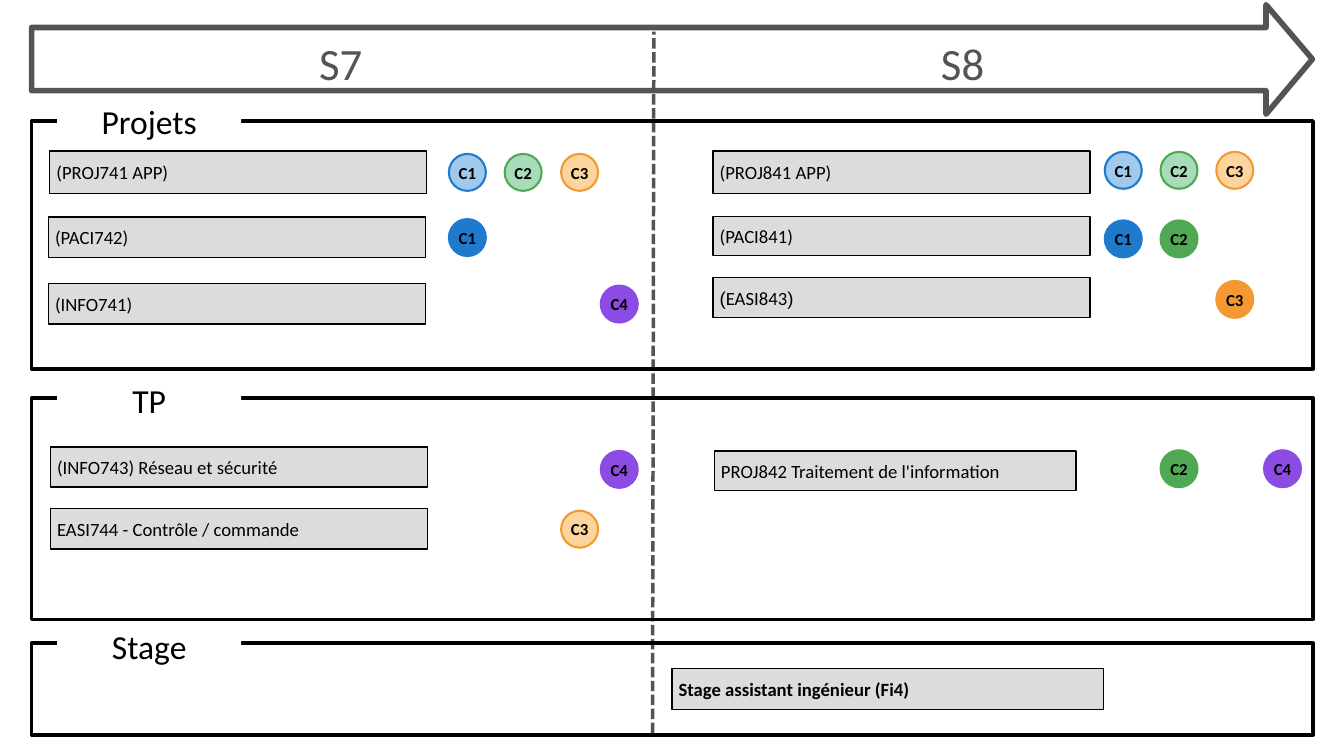
from typing import NamedTuple

from lxml.etree import SubElement
from pptx import Presentation
from pptx.dml.color import RGBColor
from pptx.enum.dml import MSO_LINE
from pptx.enum.shapes import MSO_CONNECTOR, MSO_SHAPE
from pptx.enum.text import MSO_ANCHOR, PP_ALIGN
from pptx.oxml.ns import qn
from pptx.util import Inches, Pt

BLACK = RGBColor(0x00, 0x00, 0x00)
INK = RGBColor(0x00, 0x00, 0x05)
WHITE = RGBColor(0xFF, 0xFF, 0xFF)
SLATE = RGBColor(0x54, 0x54, 0x54)
GREY = RGBColor(0xDD, 0xDC, 0xDC)
BLUE = RGBColor(0x1E, 0x7A, 0xCC)
PALE_BLUE = RGBColor(0xA0, 0xC9, 0xEB)
GREEN = RGBColor(0x4F, 0xA9, 0x54)
PALE_GREEN = RGBColor(0xA8, 0xDB, 0xBA)
ORANGE = RGBColor(0xF4, 0x98, 0x31)
PALE_ORANGE = RGBColor(0xFB, 0xD4, 0x9E)
PURPLE = RGBColor(0x8C, 0x4B, 0xE2)

BADGE_SIZE = 0.55
FRAME_LEFT, FRAME_WIDTH = 0.47, 19.07
S7_COLUMNS = {"C1": 6.68, "C2": 7.51, "C3": 8.35, "C4": 8.94}
S8_COLUMNS = {"C1": 16.44, "C2": 17.27, "C3": 18.1, "C4": 18.81}
STRONG = {"C1": BLUE, "C2": GREEN, "C3": ORANGE, "C4": PURPLE}
PALE = {"C1": PALE_BLUE, "C2": PALE_GREEN, "C3": PALE_ORANGE}


class Semester(NamedTuple):
    name: str
    left: float
    width: float


class Section(NamedTuple):
    title: str
    top: float
    height: float
    title_top: float
    anchor: MSO_ANCHOR


class Module(NamedTuple):
    name: str
    left: float
    top: float
    width: float = 5.61
    height: float = 0.6
    ink: RGBColor = INK
    bold: bool = False
    bracket_font: str = "Calibri"


class SkillRow(NamedTuple):
    skills: str
    columns: dict
    top: float
    fills: dict = STRONG


SEMESTERS = [Semester("S7", 0.5, 9.14), Semester("S8", 9.81, 9.03)]
SECTIONS = [
    Section("Projets", 1.8, 3.69, 1.5, MSO_ANCHOR.MIDDLE),
    Section("TP", 5.92, 3.3, 5.6, MSO_ANCHOR.TOP),
    Section("Stage", 9.57, 1.37, 9.26, MSO_ANCHOR.TOP),
]
MODULES = [
    Module("(PROJ741 APP)", 0.74, 2.25, height=0.63),
    Module("(PACI742)", 0.72, 3.23),
    Module("(INFO741)", 0.72, 4.22),
    Module("(PROJ841 APP)", 10.61, 2.25, height=0.63),
    Module("(PACI841)", 10.61, 3.22, height=0.58),
    Module("(EASI843)", 10.61, 4.13, bracket_font="Arial"),
    Module("(INFO743) Réseau et sécurité", 0.75, 6.65),
    Module("EASI744 - Contrôle / commande", 0.75, 7.57),
    Module("PROJ842 Traitement de l'information", 10.63, 6.71, 5.38, 0.59),
    Module("Stage assistant ingénieur (Fi4)", 10, 9.95, 6.42, 0.61, BLACK, True),
]
SKILL_ROWS = [
    SkillRow("C1 C2 C3", S7_COLUMNS, 2.29, PALE),
    SkillRow("C1", S7_COLUMNS, 3.26),
    SkillRow("C4", S7_COLUMNS, 4.25),
    SkillRow("C1 C2 C3", S8_COLUMNS, 2.26, PALE),
    SkillRow("C1 C2", S8_COLUMNS, 3.28),
    SkillRow("C3", S8_COLUMNS, 4.18),
    SkillRow("C4", S7_COLUMNS, 6.71),
    SkillRow("C3", S7_COLUMNS, 7.6, PALE),
    SkillRow("C2 C4", S8_COLUMNS, 6.7),
]


def write(shape, *pieces: str, size: float, color: RGBColor = BLACK,
          bold: bool = False, align=PP_ALIGN.CENTER, anchor=MSO_ANCHOR.MIDDLE,
          inset: bool = True, fonts: tuple = ("Calibri",), spacing=None) -> None:
    frame = shape.text_frame
    frame.word_wrap = True
    frame.vertical_anchor = anchor
    if not inset:
        frame.margin_left = frame.margin_right = 0
        frame.margin_top = frame.margin_bottom = 0
    paragraph = frame.paragraphs[0]
    paragraph.alignment = align
    if spacing:
        paragraph.line_spacing = Pt(spacing)
    for index, piece in enumerate(pieces):
        run = paragraph.add_run()
        run.text = piece
        run.font.name = fonts[index % len(fonts)]
        run.font.size = Pt(size)
        run.font.bold = bold
        run.font.color.rgb = color


def style(shape, fill=None, line=None, weight: float = 0) -> None:
    shape.shadow.inherit = False
    if fill is None:
        shape.fill.background()
    else:
        shape.fill.solid()
        shape.fill.fore_color.rgb = fill
    if line is None:
        shape.line.fill.background()
    else:
        shape.line.color.rgb = line
        shape.line.width = Pt(weight)


def add_box(slide, left: float, top: float, width: float, height: float,
            kind=MSO_SHAPE.RECTANGLE, **look):
    box = slide.shapes.add_shape(
        kind, Inches(left), Inches(top), Inches(width), Inches(height))
    style(box, **look)
    return box


def draw_timeline(slide) -> None:
    points = [(19.53, 0.88), (18.84, 0.07), (18.84, 0.41), (0.47, 0.41),
              (0.47, 1.35), (18.84, 1.35), (18.84, 1.7)]
    corners = [(Inches(x), Inches(y)) for x, y in points]
    builder = slide.shapes.build_freeform(*corners[0])
    builder.add_line_segments(corners[1:], close=True)
    style(builder.convert_to_shape(), line=SLATE, weight=6)

    divider = slide.shapes.add_connector(
        MSO_CONNECTOR.STRAIGHT, Inches(9.71), Inches(10.91), Inches(9.73), Inches(0.47))
    divider.line.color.rgb = SLATE
    divider.line.width = Pt(3.75)
    divider.line.dash_style = MSO_LINE.SQUARE_DOT
    SubElement(divider._element.spPr, qn("a:effectLst"))

    for semester in SEMESTERS:
        heading = slide.shapes.add_textbox(
            Inches(semester.left), Inches(0.46), Inches(semester.width), Inches(0.83))
        write(heading, semester.name, size=48, color=SLATE, inset=False,
              anchor=MSO_ANCHOR.TOP, spacing=62.4)


def draw_section(slide, section: Section) -> None:
    add_box(slide, FRAME_LEFT, section.top, FRAME_WIDTH, section.height,
            line=BLACK, weight=3.75)
    label = add_box(slide, 0.85, section.title_top, 2.74, 0.61, fill=WHITE)
    write(label, section.title, size=36, anchor=section.anchor)


def draw_module(slide, module: Module) -> None:
    box = add_box(slide, module.left, module.top, module.width, module.height,
                  fill=GREY, line=BLACK, weight=1.5)
    look = dict(size=20, color=module.ink, bold=module.bold, align=PP_ALIGN.LEFT)
    if module.bracket_font == "Calibri":
        write(box, module.name, **look)
    else:
        write(box, "(", module.name.strip("()"), ")",
              fonts=(module.bracket_font, "Calibri"), **look)


def draw_skills(slide, row: SkillRow) -> None:
    for skill in row.skills.split():
        badge = add_box(slide, row.columns[skill], row.top, BADGE_SIZE, BADGE_SIZE,
                        kind=MSO_SHAPE.OVAL, fill=row.fills[skill],
                        line=STRONG[skill], weight=2.25)
        write(badge, skill, size=18, bold=True, inset=False)


def main() -> None:
    deck = Presentation()
    deck.slide_width, deck.slide_height = Inches(20), Inches(11.25)
    slide = deck.slides.add_slide(deck.slide_layouts[6])
    draw_timeline(slide)
    for section in SECTIONS:
        draw_section(slide, section)
    for module in MODULES:
        draw_module(slide, module)
    for row in SKILL_ROWS:
        draw_skills(slide, row)
    deck.save("out.pptx")


if __name__ == "__main__":
    main()
